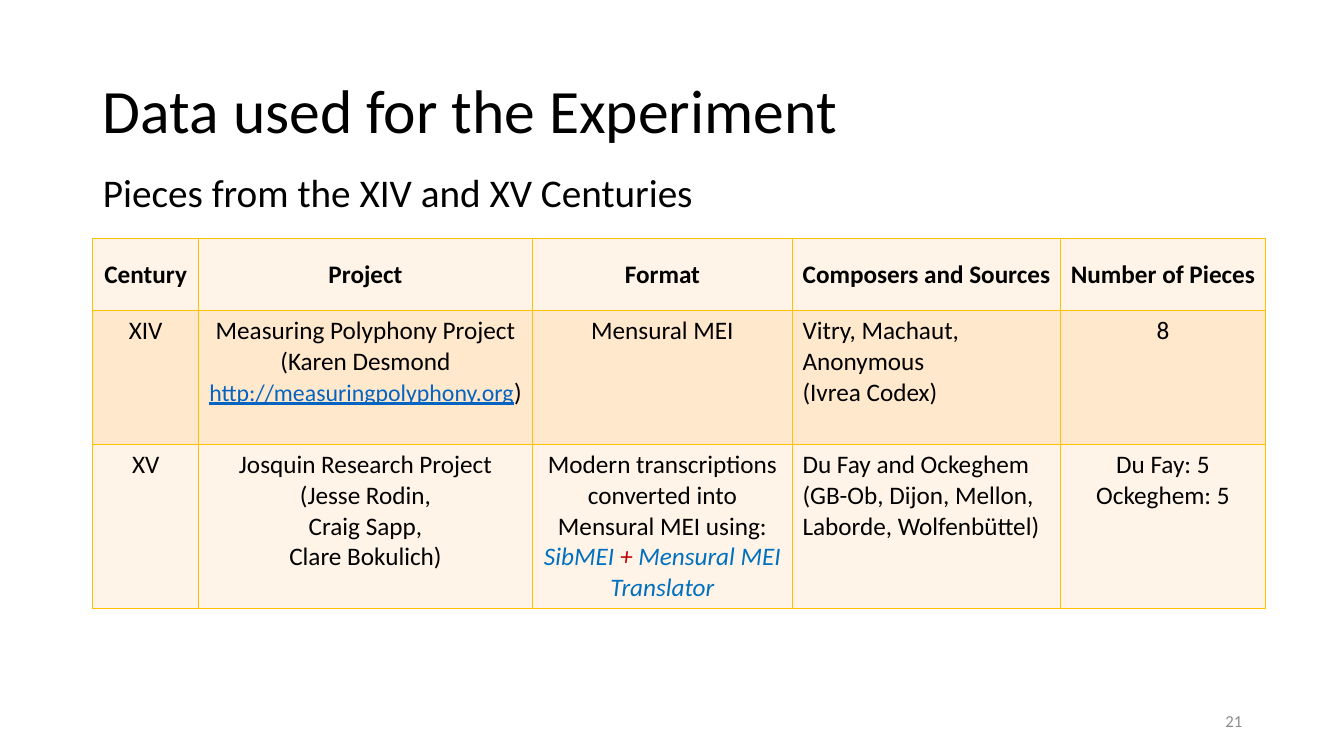
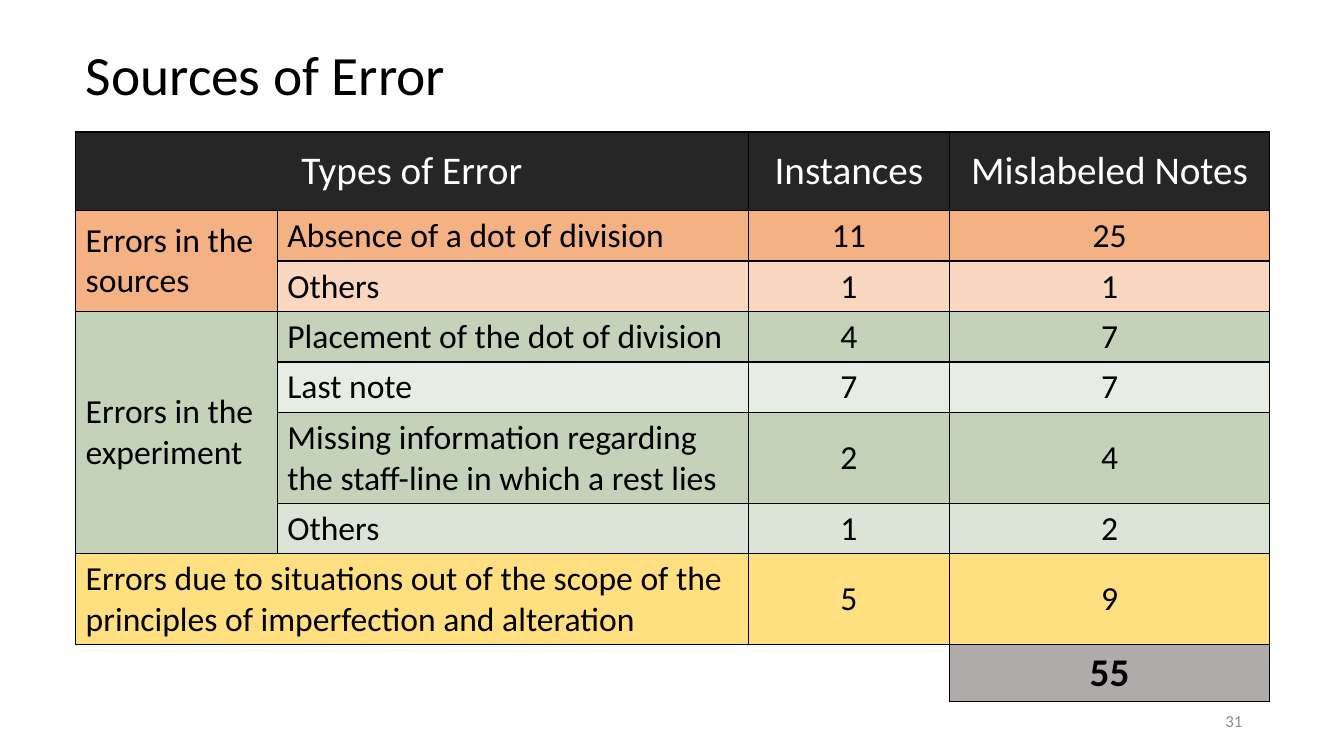
"""Build two table slides on the data and the error sources of a music experiment."""
from lxml.etree import SubElement
from pptx import Presentation
from pptx.dml.color import RGBColor
from pptx.enum.text import MSO_ANCHOR, MSO_AUTO_SIZE, PP_ALIGN
from pptx.oxml.ns import qn
from pptx.util import Inches, Pt

BLACK = RGBColor(0x00, 0x00, 0x00)
WHITE = RGBColor(0xFF, 0xFF, 0xFF)
GREY = RGBColor(0x8C, 0x8C, 0x8C)
CHARCOAL = RGBColor(0x26, 0x26, 0x26)
SILVER = RGBColor(0xAF, 0xAB, 0xAB)
GOLD = RGBColor(0xFF, 0xC0, 0x00)
CREAM = RGBColor(0xFF, 0xF4, 0xE7)
PEACH = RGBColor(0xFF, 0xE8, 0xCC)
ORANGE = RGBColor(0xF4, 0xB1, 0x83)
GREEN = RGBColor(0x89, 0xA7, 0x75)
LINK_BLUE = RGBColor(0x05, 0x63, 0xC1)
BLUE = RGBColor(0x00, 0x70, 0xC0)
RED = RGBColor(0xC0, 0x00, 0x00)

LEFT, CENTER, RIGHT = PP_ALIGN.LEFT, PP_ALIGN.CENTER, PP_ALIGN.RIGHT
TOP, MIDDLE = MSO_ANCHOR.TOP, MSO_ANCHOR.MIDDLE

BASE = {"name": "Calibri", "color": BLACK}
TITLE = {"size": Pt(44)}
SMALL_TITLE = {"size": Pt(39.6)}
SUBTITLE = {"size": Pt(28)}
NUMBER = {"size": Pt(12), "color": GREY}
DATA = {"size": Pt(18)}
DATA_HEAD = {"size": Pt(18), "bold": True}
LINK = {"size": Pt(17), "color": LINK_BLUE, "underline": True}
TOOL = {"color": BLUE, "italic": True}
PLUS = {"color": RED, "italic": True}
ERROR = {"size": Pt(24)}
ERROR_HEAD = {"size": Pt(28), "color": WHITE}
TOTAL = {"size": Pt(28), "bold": True}

NUMBER_BOX = (9.42, 6.95, 3, 0.4)

SLIDES = [
    {
        "number": "21",
        "title": ("Data used for the Experiment", (0.92, 0.4, 11.5, 1.45), TITLE, MIDDLE),
        "body": ("Pieces from the XIV and XV Centuries", (0.92, 1.67, 11.5, 0.61), SUBTITLE, TOP),
        "table": {
            "at": (0.92, 2.37),
            "border": GOLD,
            "columns": (1.05, 3.31, 2.58, 2.66, 2.03),
            "aligns": (CENTER, CENTER, CENTER, LEFT, CENTER),
            "anchor": TOP,
            "merges": [],
            "rows": [
                (0.71, CREAM, 100, DATA_HEAD,
                 ["Century", "Project", "Format", "Composers and Sources", "Number of Pieces"]),
                (1.33, PEACH, 100, DATA, [
                    "XIV",
                    ["Measuring Polyphony Project", "(Karen Desmond",
                     [("http://measuringpolyphony.org", LINK), (")", {})]],
                    "Mensural MEI",
                    ["Vitry, Machaut, Anonymous", "(Ivrea Codex)"],
                    "8"]),
                (1.63, CREAM, 100, DATA, [
                    "XV",
                    ["Josquin Research Project", "(Jesse Rodin,", "Craig Sapp,", "Clare Bokulich)"],
                    ["Modern transcriptions converted into Mensural MEI using:",
                     [("SibMEI ", TOOL), ("+ ", PLUS), ("Mensural MEI Translator", TOOL)]],
                    ["Du Fay and Ockeghem", "(GB-Ob, Dijon, Mellon, Laborde, Wolfenbüttel)"],
                    ["Du Fay: 5", "Ockeghem: 5"]]),
            ],
        },
    },
    {
        "number": "31",
        "title": ("Sources of Error", (0.75, 0.42, 11.83, 0.59), SMALL_TITLE, TOP),
        "body": None,
        "table": {
            "at": (0.75, 1.31),
            "border": BLACK,
            "columns": (2, 4.67, 2, 3.17),
            "aligns": (LEFT, LEFT, CENTER, CENTER),
            "anchor": MIDDLE,
            "merges": [(0, 0, 0, 1), (1, 0, 2, 0), (3, 0, 6, 0), (7, 0, 7, 1), (8, 0, 8, 2)],
            "rows": [
                (0.78, CHARCOAL, 100, ERROR_HEAD,
                 ["Types of Error", None, "Instances", "Mislabeled Notes"]),
                (0.49, ORANGE, 100, ERROR,
                 ["Errors in the sources", "Absence of a dot of division", "11", "25"]),
                (0.49, ORANGE, 50, ERROR, [None, "Others", "1", "1"]),
                (0.49, GREEN, 50, ERROR,
                 ["Errors in the experiment", "Placement of the dot of division", "4", "7"]),
                (0.49, GREEN, 20, ERROR, [None, "Last note", "7", "7"]),
                (0.89, GREEN, 50, ERROR,
                 [None, "Missing information regarding the staff-line in which a rest lies", "2", "4"]),
                (0.49, GREEN, 30, ERROR, [None, "Others", "1", "2"]),
                (0.89, GOLD, 50, ERROR,
                 ["Errors due to situations out of the scope of the principles of imperfection and alteration",
                  None, "5", "9"]),
                (0.56, SILVER, 100, TOTAL, ["", "", "", "55"]),
            ],
        },
    },
]


def format_font(font, style):
    for key, value in {**BASE, **style}.items():
        if key == "color":
            font.color.rgb = value
        else:
            setattr(font, key, value)


def write(frame, content, style, align, spacing=1.0):
    lines = content if isinstance(content, list) else [content]
    for index, line in enumerate(lines):
        paragraph = frame.paragraphs[0] if index == 0 else frame.add_paragraph()
        for key, value in {"alignment": align, "line_spacing": spacing, "space_before": Pt(0)}.items():
            setattr(paragraph, key, value)
        for text, extra in [(line, {})] if isinstance(line, str) else line:
            run = paragraph.add_run()
            run.text = text
            format_font(run.font, {**style, **extra})


def place(shape, box):
    for key, value in zip(("left", "top", "width", "height"), box):
        setattr(shape, key, Inches(value))


def fill_placeholder(shape, text, box, style, anchor):
    place(shape, box)
    frame = shape.text_frame
    for key, value in {"word_wrap": True, "auto_size": MSO_AUTO_SIZE.NONE, "vertical_anchor": anchor}.items():
        setattr(frame, key, value)
    properties = frame.paragraphs[0]._p.get_or_add_pPr()
    properties.set("marL", "0")
    properties.set("indent", "0")
    SubElement(properties, qn("a:buNone"))
    write(frame, text, style, LEFT, 0.9)


def add_number(slide, text):
    left, top, width, height = (Inches(value) for value in NUMBER_BOX)
    frame = slide.shapes.add_textbox(left, top, width, height).text_frame
    frame.word_wrap = True
    frame.vertical_anchor = MIDDLE
    write(frame, text, NUMBER, RIGHT)


def draw_borders(cell, color, edges):
    properties = cell._tc.get_or_add_tcPr()
    for edge in "LRTB":
        line = SubElement(properties, qn(f"a:ln{edge}"), w=str(Pt(1)))
        if edge in edges:
            SubElement(SubElement(line, qn("a:solidFill")), qn("a:srgbClr"), val=str(color))
        else:
            SubElement(line, qn("a:noFill"))


def fill_cell(cell, color, opacity):
    cell.fill.solid()
    cell.fill.fore_color.rgb = color
    if opacity < 100:
        tint = cell._tc.tcPr.find(qn("a:solidFill")).find(qn("a:srgbClr"))
        SubElement(tint, qn("a:alpha"), val=str(opacity * 1000))


def add_data_table(slide, at, border, columns, aligns, anchor, merges, rows):
    size = sum(columns), sum(row[0] for row in rows)
    table = slide.shapes.add_table(len(rows), len(columns), *(Inches(value) for value in at + size)).table
    table.first_row = table.horz_banding = False
    for column, width in zip(table.columns, columns):
        column.width = Inches(width)
    for r, (height, color, opacity, style, contents) in enumerate(rows):
        table.rows[r].height = Inches(height)
        for c, content in enumerate(contents):
            cell = table.cell(r, c)
            cell.vertical_anchor = MIDDLE if r == 0 else anchor
            blank = content == ""
            draw_borders(cell, border, "TR" if blank else "LRTB")
            if blank:
                cell.fill.background()
            else:
                fill_cell(cell, color, opacity)
            if content:
                write(cell.text_frame, content, style, CENTER if r == 0 else aligns[c])
    for top, left, bottom, right in merges:
        table.cell(top, left).merge(table.cell(bottom, right))


def main():
    deck = Presentation()
    deck.slide_width, deck.slide_height = Inches(13.33), Inches(7.5)
    for content in SLIDES:
        layout = deck.slide_layouts[1 if content["body"] else 5]
        slide = deck.slides.add_slide(layout)
        fill_placeholder(slide.shapes.title, *content["title"])
        if content["body"]:
            fill_placeholder(slide.placeholders[1], *content["body"])
        add_number(slide, content["number"])
        add_data_table(slide, **content["table"])
    deck.save("out.pptx")


if __name__ == "__main__":
    main()
